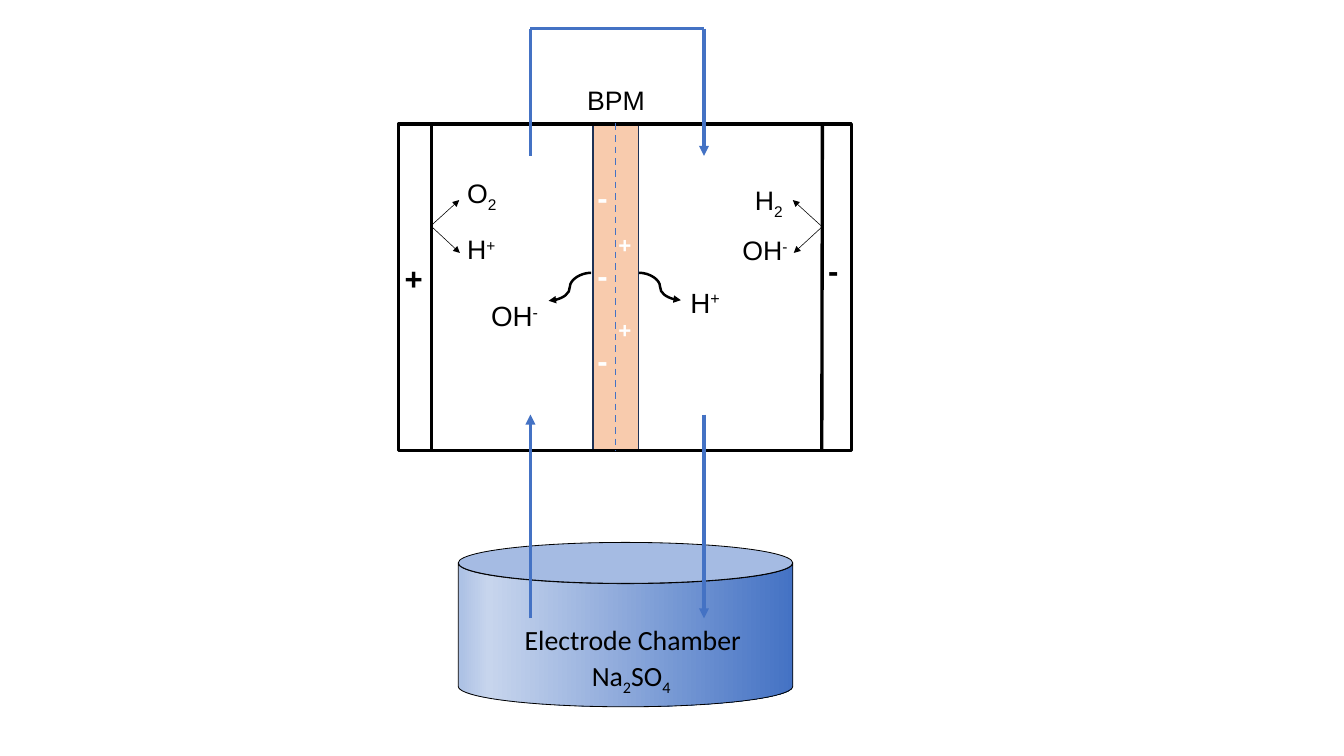
import math
from dataclasses import dataclass

import lxml.etree
import pptx
import pptx.dml.color
import pptx.enum.dml
import pptx.enum.shapes
import pptx.enum.text
import pptx.oxml
import pptx.oxml.ns
import pptx.util

Cm, Pt = pptx.util.Cm, pptx.util.Pt
qn = pptx.oxml.ns.qn
SHAPE = pptx.enum.shapes.MSO_SHAPE
CONNECTOR = pptx.enum.shapes.MSO_CONNECTOR


@dataclass(frozen=True)
class Theme:
    black: str = "000000"
    white: str = "FFFFFF"
    blue: str = "4472C4"
    membrane: str = "F8CBAD"
    membrane_edge: str = "1E3256"
    water: str = "8FAADC"
    tank: tuple = ((0, "F6F8FC"), (0, "ABC0E4"), (9, "C7D5ED"),
                   (100, "4472C4"), (100, "9DC3E6"))
    sign: int = 28
    small_sign: int = 20
    species: int = 24
    ion: int = 25
    font: str = "Arial"
    tank_font: str = "Calibri"


T = Theme()
BASELINE = {"_": "-25000", "^": "30000"}


def rgb(value):
    return pptx.dml.color.RGBColor.from_string(value)


def set_line(line, color, width, **extra):
    line.color.rgb = rgb(color)
    for name, value in {"width": Pt(width), **extra}.items():
        setattr(line, name, value)


def label(shapes, x, y, w, h, parts, size, color=T.black, font=T.font, bold=False):
    """Text box; a part that starts with _ or ^ is a subscript or superscript."""
    tf = shapes.add_textbox(Cm(x), Cm(y), Cm(w), Cm(h)).text_frame
    tf.word_wrap = True
    tf.auto_size = pptx.enum.text.MSO_AUTO_SIZE.SHAPE_TO_FIT_TEXT
    p = tf.paragraphs[0]
    for part in parts:
        r = p.add_run()
        r.text = part.lstrip("_^")
        for name, value in {"name": font, "size": Pt(size), "bold": bold}.items():
            setattr(r.font, name, value)
        r.font.color.rgb = rgb(color)
        if part[0] in BASELINE:
            r._r.get_or_add_rPr().set("baseline", BASELINE[part[0]])


def connect(shapes, start, end, color, width, arrow=False,
            kind=CONNECTOR.STRAIGHT, **extra):
    cn = shapes.add_connector(kind, *(Cm(v) for v in (*start, *end)))
    set_line(cn.line, color, width, **extra)
    if arrow:
        ln = cn.line._get_or_add_ln()
        lxml.etree.SubElement(ln, qn("a:tailEnd"), type="triangle")
    lxml.etree.SubElement(cn._element.spPr, qn("a:effectLst"))
    return cn


def box(shapes, kind, x, y, w, h, fill, color, width):
    sp = shapes.add_shape(kind, Cm(x), Cm(y), Cm(w), Cm(h))
    sp.shadow.inherit = False
    if fill:
        sp.fill.solid()
        sp.fill.fore_color.rgb = rgb(fill)
    else:
        sp.fill.background()
    set_line(sp.line, color, width)
    return sp


def tank_body(shapes, x, top, bottom, w, ry, steps=40):
    """Cylinder wall between two lower half ellipses."""
    def arc(y, turns):
        return [(Cm(x + w / 2 - w / 2 * math.cos(math.pi * i / steps)),
                 Cm(y + ry * math.sin(math.pi * i / steps))) for i in turns]

    points = arc(top, range(steps + 1)) + arc(bottom, range(steps, -1, -1))
    builder = shapes.build_freeform(*points[0])
    builder.add_line_segments(points[1:], close=True)
    sp = builder.convert_to_shape()
    sp.shadow.inherit = False
    sp.fill.gradient()
    sp.fill.gradient_angle = 0
    stops = sp._element.spPr.find(qn("a:gradFill")).find(qn("a:gsLst"))
    for stop in list(stops):
        stops.remove(stop)
    for pos, color in T.tank:
        stop = lxml.etree.SubElement(stops, qn("a:gs"), pos=str(pos * 1000))
        lxml.etree.SubElement(stop, qn("a:srgbClr"), val=color)
    set_line(sp.line, T.black, 0)


def draw_cell(shapes):
    # Electrodes and membrane
    connect(shapes, (13.69, 3.94), (13.69, 14.33), T.black, 3)
    label(shapes, 12.6, 8.1, 1.57, 1.63, ["+"], T.sign, bold=True)
    membrane = box(shapes, SHAPE.RECTANGLE, 18.82, 3.91, 1.45, 10.39,
                   T.membrane, T.membrane_edge, 1.5)
    label(shapes, 18.39, 2.54, 2.82, 1.42, ["BPM"], T.species)
    connect(shapes, (26.11, 3.91), (26.09, 14.33), T.black, 3)
    label(shapes, 26.04, 7.85, 1.57, 1.63, ["-"], T.sign, bold=True)
    box(shapes, SHAPE.RECTANGLE, 12.65, 3.94, 14.38, 10.36, None, T.black, 3)

    # Fixed charges on both membrane layers
    for y in (5.54, 8, 10.72):
        label(shapes, 18.72, y, 1.57, 1.63, ["-"], T.sign, T.white, bold=True)
    for y in (7.21, 9.91):
        label(shapes, 19.38, y, 1.57, 1.24, ["+"], T.small_sign, T.white, bold=True)
    middle = connect(shapes, (19.54, 3.91), (19.54, 14.3), T.blue, 1.5,
                     dash_style=pptx.enum.dml.MSO_LINE.DASH)
    middle.begin_connect(membrane, 0)
    middle.end_connect(membrane, 2)


def draw_reactions(shapes):
    # Electrode products: arrow start, arrow end, label place, label parts
    for start, end, place, parts in (
        ((13.69, 7.16), (14.58, 6.35), (14.58, 5.49, 1.57), ["O", "_2"]),
        ((13.72, 7.21), (14.6, 8.03), (14.58, 7.26, 2.26), ["H", "^+"]),
        ((26.06, 7.16), (25.17, 6.35), (23.72, 5.72, 1.57), ["H", "_2"]),
        ((26.09, 7.21), (25.2, 8.03), (23.32, 7.29, 2.26), ["OH", "^-"]),
    ):
        connect(shapes, start, end, T.black, 0.5, arrow=True)
        label(shapes, *place, 1.27, parts, T.species)

    # Ions leaving the membrane
    for start, end, place, parts in (
        ((18.77, 8.66), (17.42, 9.55), (15.34, 9.37, 2.11), ["OH", "^-"]),
        ((20.29, 8.66), (21.62, 9.53), (21.67, 8.94, 2.36), ["H", "^+"]),
    ):
        connect(shapes, start, end, T.black, 2.25, arrow=True, kind=CONNECTOR.CURVE)
        label(shapes, *place, 1.32, parts, T.ion)


def draw_tank(shapes):
    tank_body(shapes, 14.55, 17.88, 21.79, 10.62, 0.65)
    water = box(shapes, SHAPE.OVAL, 14.55, 17.22, 10.62, 1.3, T.water, T.black, 0)
    color = water._element.spPr.find(qn("a:solidFill"))[0]
    lxml.etree.SubElement(color, qn("a:alpha"), val="80000")
    label(shapes, 16.41, 19.63, 8.1, 1.32, ["Electrode Chamber"], T.ion,
          font=T.tank_font)


def draw_pipes(shapes):
    left, right = 16.84, 22.35
    loop, inlet, outlet, tank = 0.91, 4.95, 13.16, 19.63
    for start, end, arrow in (
        ((left, tank), (left, outlet), True),
        ((left, inlet), (left, loop), False),
        ((left, loop), (right, loop), False),
        ((right, loop), (right, inlet), True),
        ((right, outlet), (right, tank), True),
    ):
        connect(shapes, start, end, T.blue, 3, arrow)


def main():
    prs = pptx.Presentation()
    prs.slide_width, prs.slide_height = Cm(42.67), Cm(24)
    s = prs.slides.add_slide(prs.slide_layouts[6])
    draw_cell(s.shapes.add_group_shape().shapes)
    draw_reactions(s.shapes)
    draw_tank(s.shapes.add_group_shape().shapes)
    label(s.shapes, 18.54, 20.78, 3.84, 1.32, ["Na", "_2", "SO", "_4"], T.ion,
          font=T.tank_font)
    draw_pipes(s.shapes)
    prs.save("out.pptx")


if __name__ == "__main__":
    main()
